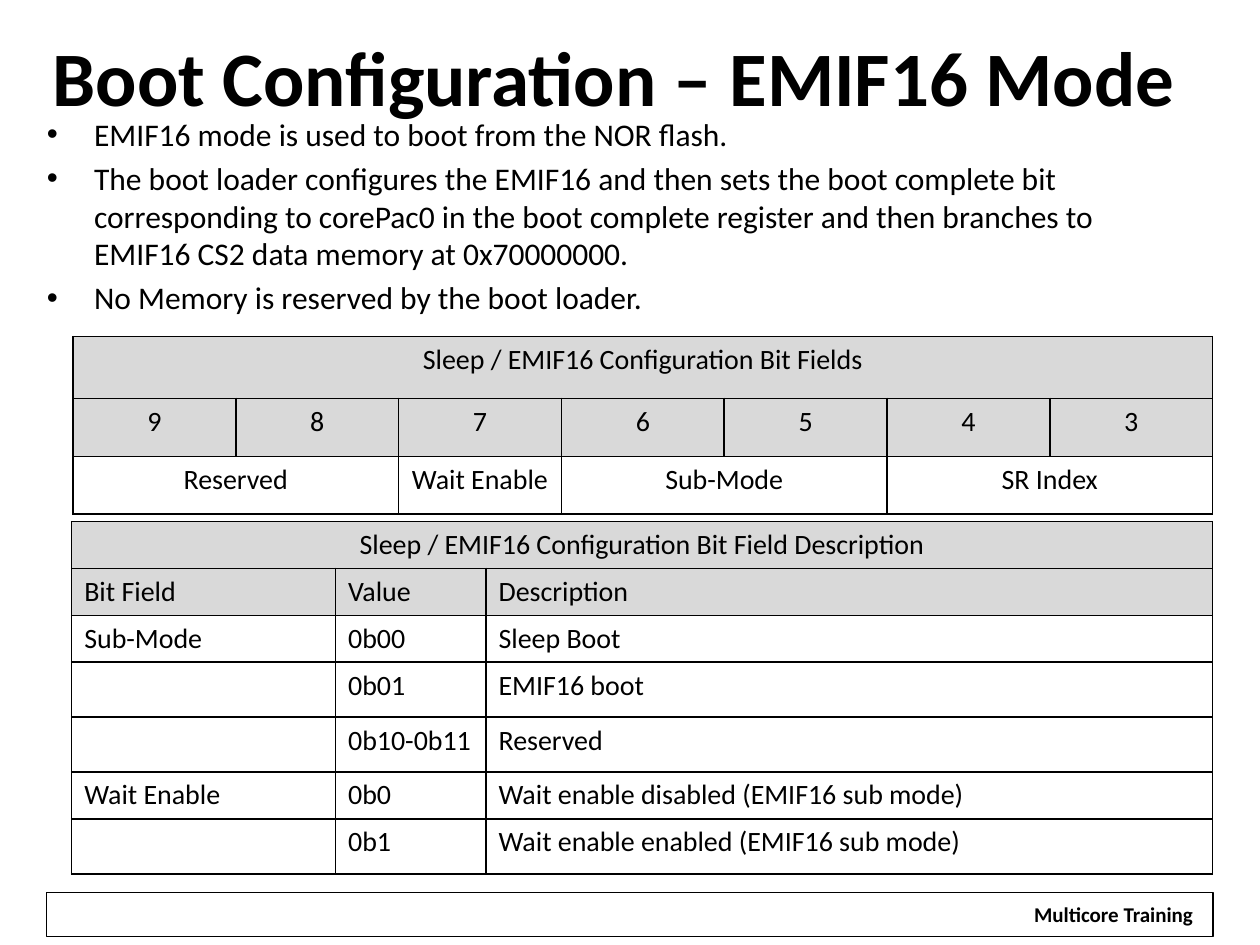
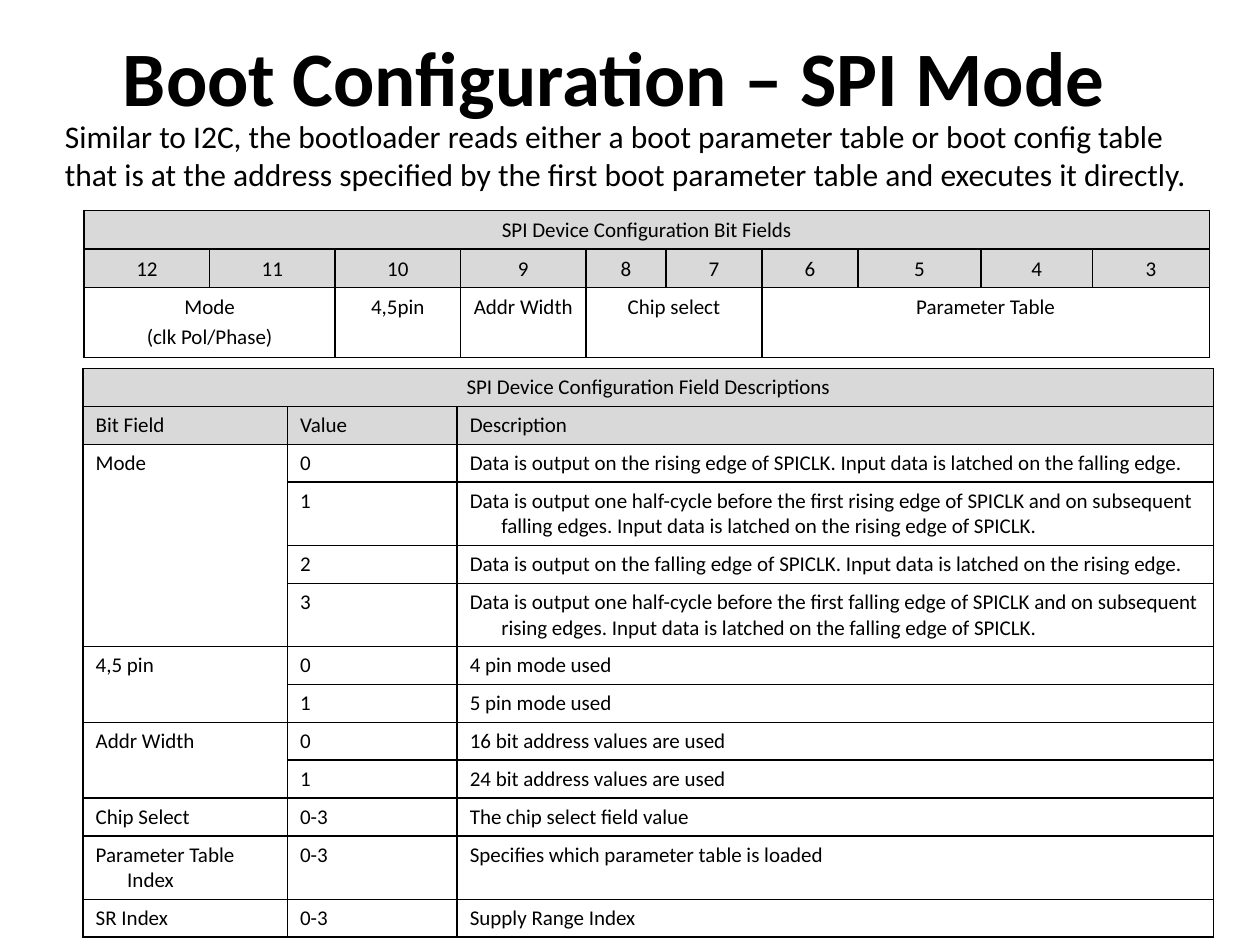
from lxml import etree
from pptx import Presentation
from pptx.dml.color import RGBColor
from pptx.enum.shapes import MSO_SHAPE as SHAPE
from pptx.enum.text import MSO_ANCHOR as ANCHOR, PP_ALIGN as ALIGN
from pptx.oxml.ns import qn
from pptx.util import Pt

FONT = "Calibri"
BLACK, HEADER_GREY = "000000", "D9D9D9"
LEFT, UP = "<", "^"
HANG = 18

TITLE_BOX = (18, 11.5, 666, 64)
FOOTER_BOX = (26.6, 509.8, 666.5, 25.2)

EMIF_BULLETS = [
    "EMIF16 mode is used to boot from the NOR flash.",
    "The boot loader configures the EMIF16 and then sets the boot complete bit "
    "corresponding to corePac0 in the boot complete register and then branches to "
    "EMIF16 CS2 data memory at 0x70000000.",
    "No Memory is reserved by the boot loader.",
]
EMIF_BITS = [
    ["Sleep / EMIF16 Configuration Bit Fields"] + [LEFT] * 6,
    list("9876543"),
    ["Reserved", LEFT, "Wait Enable", "Sub-Mode", LEFT, "SR Index", LEFT],
]
EMIF_FIELDS = [
    ["Sleep / EMIF16 Configuration Bit Field Description", LEFT, LEFT],
    ["Bit Field", "Value", "Description"],
    ["Sub-Mode", "0b00", "Sleep Boot"],
    ["", "0b01", "EMIF16 boot"],
    ["", "0b10-0b11", "Reserved"],
    ["Wait Enable", "0b0", "Wait enable disabled (EMIF16 sub mode)"],
    ["", "0b1", "Wait enable enabled (EMIF16 sub mode)"],
]
SPI_INTRO = (
    "Similar to I2C, the bootloader reads either a boot parameter table or boot config table "
    "that is at the address specified by the first boot parameter table and executes it directly."
)
SPI_BITS = [
    ["SPI Device Configuration Bit Fields"] + [LEFT] * 9,
    [str(bit) for bit in range(12, 2, -1)],
    ["Mode\n(clk Pol/Phase)", LEFT, "4,5pin", "Addr Width", "Chip select", LEFT,
     "Parameter Table", LEFT, LEFT, LEFT],
]
SPI_FIELDS = [
    ["SPI Device Configuration Field Descriptions", LEFT, LEFT],
    ["Bit Field", "Value", "Description"],
    ["Mode", "0", "Data is output on the rising edge of SPICLK. "
     "Input data is latched on the falling edge."],
    [UP, "1", "Data is output one half-cycle before the first rising edge of SPICLK and on "
     "subsequent falling edges. Input data is latched on the rising edge of SPICLK."],
    [UP, "2", "Data is output on the falling edge of SPICLK. "
     "Input data is latched on the rising edge."],
    [UP, "3", "Data is output one half-cycle before the first falling edge of SPICLK and on "
     "subsequent rising edges. Input data is latched on the falling edge of SPICLK."],
    ["4,5 pin", "0", "4 pin mode used"],
    [UP, "1", "5 pin mode used"],
    ["Addr Width", "0", "16 bit address values are used"],
    [UP, "1", "24 bit address values are used"],
    ["Chip Select", "0-3", "The chip select field value"],
    ["Parameter Table Index", "0-3", "Specifies which parameter table is loaded"],
    ["SR Index", "0-3", "Supply Range Index"],
]


def rgb(code):
    """Turn a hex string into a colour."""
    return RGBColor.from_string(code)


def add_run(p, text, size, bold=False):
    """Append one black run to a paragraph."""
    r = p.add_run()
    r.text = text
    r.font.name, r.font.size, r.font.bold = FONT, Pt(size), bold
    r.font.color.rgb = rgb(BLACK)


def set_indent(p, hang):
    """Give a paragraph a hanging indent."""
    pPr = p._p.get_or_add_pPr()
    pPr.set("marL", str(Pt(hang)))
    pPr.set("indent", str(Pt(-hang)))
    return pPr


def add_text(s, box, lines, size, bold=False, align=ALIGN.LEFT, anchor=ANCHOR.TOP, bullet=False):
    """Place a wrapped text box with one paragraph per line."""
    tf = s.shapes.add_textbox(*map(Pt, box)).text_frame
    tf.word_wrap, tf.vertical_anchor = True, anchor
    for i, line in enumerate(lines):
        p = tf.add_paragraph() if i else tf.paragraphs[0]
        p.alignment = align
        if i:
            p.space_before = Pt(3.6)
        if bullet:
            pPr = set_indent(p, 27)
            etree.SubElement(pPr, qn("a:buFont")).set("typeface", "Arial")
            etree.SubElement(pPr, qn("a:buChar")).set("char", "•")
        add_run(p, line, size, bold)


def add_title(s, box, text):
    """Place the slide title."""
    add_text(s, box, [text], 44, True, ALIGN.CENTER, ANCHOR.MIDDLE)


def add_footer(s, box):
    """Draw the footer frame with its label at the right end."""
    x, y, w, h = box
    sp = s.shapes.add_shape(SHAPE.RECTANGLE, *map(Pt, box))
    sp.shadow.inherit = False
    sp.fill.background()
    sp.line.color.rgb, sp.line.width = rgb(BLACK), Pt(0.75)
    label_box = (x + w - 110, y + 2, 106.5, h - 4)
    add_text(s, label_box, ["Multicore Training"], 12, True, ALIGN.CENTER, ANCHOR.MIDDLE)


def add_borders(cell):
    """Rule all four sides of a cell in black."""
    tcPr = cell._tc.get_or_add_tcPr()
    for side in ("lnL", "lnR", "lnT", "lnB"):
        ln = etree.SubElement(tcPr, qn(f"a:{side}"), w=str(Pt(1)))
        fill = etree.SubElement(ln, qn("a:solidFill"))
        etree.SubElement(fill, qn("a:srgbClr")).set("val", BLACK)


def add_grid(s, origin, widths, heights, rows, size, centred=False, hang=HANG,
             insets=(7.2, 3.6), spacing=None):
    """Place a ruled table with two grey header rows; markers join cells left or up."""
    box = (*origin, sum(widths), sum(heights))
    table = s.shapes.add_table(len(rows), len(widths), *map(Pt, box)).table
    table.first_row = table.horz_banding = False
    for col, width in zip(table.columns, widths):
        col.width = Pt(width)
    for row, height in zip(table.rows, heights):
        row.height = Pt(height)
    for i, row in enumerate(rows):
        for j, text in enumerate(row):
            cell = table.cell(i, j)
            add_borders(cell)
            if i < 2:
                cell.fill.solid()
                cell.fill.fore_color.rgb = rgb(HEADER_GREY)
            else:
                cell.fill.background()
            cell.margin_left = cell.margin_right = Pt(insets[0])
            cell.margin_top = cell.margin_bottom = Pt(insets[1])
            if text in ("", LEFT, UP):
                continue
            tf = cell.text_frame
            for k, line in enumerate(text.split("\n")):
                p = tf.add_paragraph() if k else tf.paragraphs[0]
                p.alignment = ALIGN.CENTER if centred or i == 0 else ALIGN.LEFT
                if spacing:
                    p.line_spacing = spacing
                if hang:
                    set_indent(p, hang)
                add_run(p, line, size)
            right, down = j + 1, i + 1
            while right < len(row) and row[right] == LEFT:
                right += 1
            while down < len(rows) and rows[down][j] == UP:
                down += 1
            if right - j > 1 or down - i > 1:
                cell.merge(table.cell(down - 1, right - 1))


def emif_slide(prs):
    """Build the EMIF16 mode slide."""
    s = prs.slides.add_slide(prs.slide_layouts[6])
    add_footer(s, FOOTER_BOX)
    add_title(s, TITLE_BOX, "Boot Configuration – EMIF16 Mode")
    add_text(s, (19.7, 62, 666.7, 369.4), EMIF_BULLETS, 18, bullet=True)
    add_grid(s, (41.7, 192.4), [93.05] * 7, [35.3, 33.1, 33.1], EMIF_BITS, 16, centred=True)
    add_grid(s, (41, 298), [150.8, 86, 415], [26.8] * 3 + [31.4] * 2 + [26.9, 31.4],
             EMIF_FIELDS, 16)


def spi_slide(prs):
    """Build the SPI mode slide."""
    s = prs.slides.add_slide(prs.slide_layouts[6])
    add_title(s, TITLE_BOX, "Boot Configuration – SPI Mode")
    add_text(s, (30, 63.4, 666, 51), [SPI_INTRO], 18)
    heights = [36.2 if i in (3, 5, 11) else 21.6 for i in range(len(SPI_FIELDS))]
    add_grid(s, (47.5, 210.6), [116.8, 97, 432.3], heights, SPI_FIELDS, 12)
    add_grid(s, (48.1, 120.2), [71.7] * 4 + [45.7, 54.9, 54.9, 70.3, 63.7, 66.7],
             [22, 22, 40], SPI_BITS, 12, centred=True, hang=0, insets=(5, 2.2), spacing=1.15)


def main():
    """Build and save both slides."""
    prs = Presentation()
    prs.slide_width, prs.slide_height = Pt(720), Pt(540)
    emif_slide(prs)
    spi_slide(prs)
    prs.save("out.pptx")


if __name__ == "__main__":
    main()
